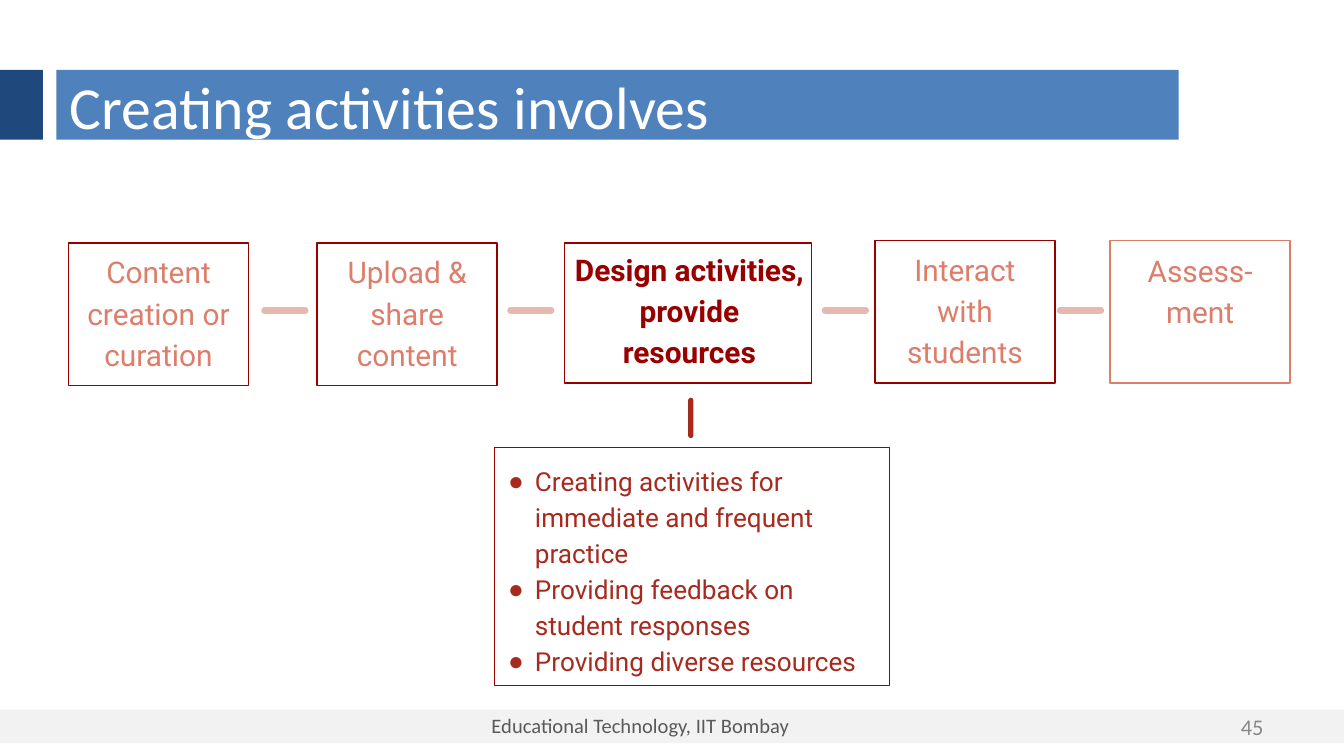
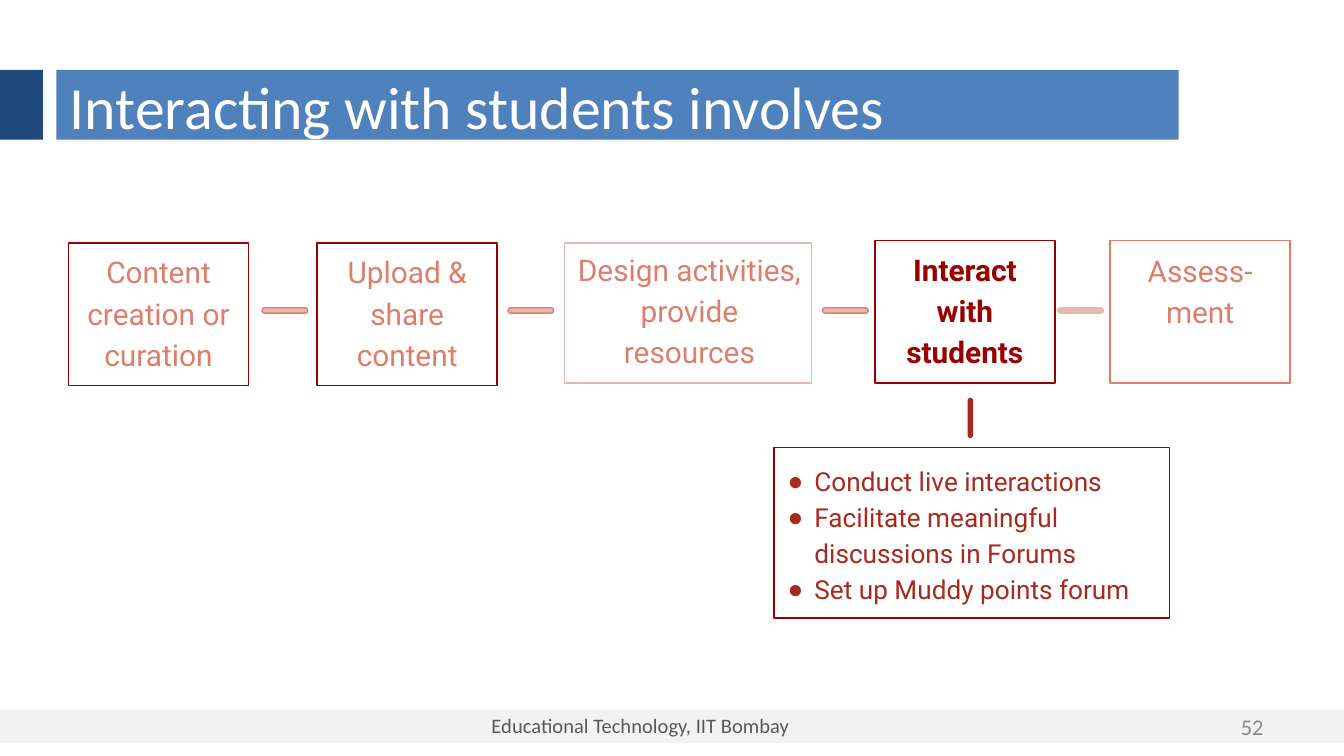
from lxml import etree
from pptx import Presentation
from pptx import util as u
from pptx.dml.color import RGBColor
from pptx.enum import shapes, text
from pptx.oxml import ns

MAROON, BRICK, SALMON, BLUSH = "980000", "A72A1E", "DD7E6B", "E6B8AF"
BLUE, NAVY, PALE, DARK_GREY, GREY, WHITE = (
    "4F81BD", "1F497D", "F2F2F2", "595959", "888888", "FFFFFF")
RECT = shapes.MSO_SHAPE.RECTANGLE
ROUNDED = shapes.MSO_SHAPE.ROUNDED_RECTANGLE
ALIGN, ANCHOR = text.PP_ALIGN, text.MSO_ANCHOR
SMALL_INSETS = (0.1, 0.05, 0.1, 0.05)
STEP_INSETS = (0.1, 0.1, 0.1, 0.1)

# Each step: left, top, width, height, insets, paragraphs
STEPS = [
    (0.51, 1.81, 1.34, 1.06, STEP_INSETS, ["Content creation or curation"]),
    (2.36, 1.81, 1.34, 1.06, STEP_INSETS, ["Upload & share content"]),
    (4.2, 1.81, 1.84, 1.04, (0.04, 0.1, 0.02, 0.1),
     ["Design activities, provide", "resources"]),
    (6.51, 1.79, 1.34, 1.06, STEP_INSETS, ["Interact with students"]),
    (8.26, 1.79, 1.34, 1.06, (0.1, 0.1, 0.1, 0.4), ["Assess- ment"]),
]
LINK_LEFTS = [1.95, 3.78, 6.12, 7.87]


def color(hex_value):
    return RGBColor.from_string(hex_value)


def set_line(shape, line):
    if line:
        shape.line.color.rgb = color(line)
        shape.line.width = u.Pt(0.75)
    else:
        shape.line.fill.background()


def place(shape, left, top, width, height):
    shape.left, shape.top = u.Inches(left), u.Inches(top)
    shape.width, shape.height = u.Inches(width), u.Inches(height)


def add_box(page, kind, left, top, width, height, fill=None, line=None):
    box = page.shapes.add_shape(kind, *map(u.Inches, (left, top, width, height)))
    box.shadow.inherit = False
    if fill:
        box.fill.solid()
        box.fill.fore_color.rgb = color(fill)
    else:
        box.fill.background()
    set_line(box, line)
    return box


def add_bullet(para, hex_value):
    properties = para._p.get_or_add_pPr()
    properties.set("marL", str(u.Inches(0.2)))
    properties.set("indent", str(-u.Inches(0.2)))
    tint = etree.SubElement(properties, ns.qn("a:buClr"))
    etree.SubElement(tint, ns.qn("a:srgbClr")).set("val", hex_value)
    etree.SubElement(properties, ns.qn("a:buChar")).set("char", "●")


def write(shape, paragraphs, *, font, size, ink, bold=False, align=ALIGN.LEFT,
          anchor=ANCHOR.TOP, insets=SMALL_INSETS, spacing=1.0, bullets=False):
    frame = shape.text_frame
    frame.word_wrap = True
    frame.auto_size = text.MSO_AUTO_SIZE.NONE
    frame.vertical_anchor = anchor
    (frame.margin_left, frame.margin_top,
     frame.margin_right, frame.margin_bottom) = map(u.Inches, insets)
    for index, words in enumerate(paragraphs):
        para = frame.add_paragraph() if index else frame.paragraphs[0]
        para.alignment = align
        para.line_spacing = spacing
        para.space_before = u.Pt(0)
        if bullets:
            add_bullet(para, ink)
        span = para.add_run()
        span.text = words
        span.font.name, span.font.size = font, u.Pt(size)
        span.font.bold = bold
        span.font.color.rgb = color(ink)


def add_label(page, words, left, top, width, height, **style):
    label = page.shapes.add_textbox(*map(u.Inches, (left, top, width, height)))
    write(label, [words], font="Calibri", **style)


def add_frame(page, title, number):
    """Draw the footer, the title band and the page number."""
    add_box(page, RECT, 0, 5.28, 10, 0.25, fill=PALE)
    add_label(page, "Educational Technology, IIT Bombay", 2.42, 5.26, 4.69, 0.24,
              size=11, ink=DARK_GREY, align=ALIGN.CENTER)
    add_box(page, RECT, 0.42, 0.52, 8.35, 0.52, fill=BLUE)
    add_box(page, RECT, 0, 0.52, 0.32, 0.52, fill=NAVY)
    add_label(page, str(number), 8.88, 5.26, 0.62, 0.3, size=12, ink=GREY,
              align=ALIGN.RIGHT, anchor=ANCHOR.MIDDLE)
    heading = page.shapes.title
    page.shapes._spTree.append(heading._element)  # in front of the band
    place(heading, 0.42, 0.53, 8.33, 0.51)
    write(heading, [title], font="Calibri", size=32, ink=WHITE,
          anchor=ANCHOR.MIDDLE)


def add_link(page, left, top, width, height, fill, line=None):
    link = add_box(page, ROUNDED, left, top, width, height, fill, line)
    link.adjustments[0] = 0.5


def add_steps(page, active, step_lines, link_lines):
    for index, (left, top, width, height, insets, words) in enumerate(STEPS):
        step = add_box(page, RECT, left, top, width, height,
                       line=step_lines[index])
        current = index == active
        write(step, words, font="Roboto", size=16, bold=current,
              ink=MAROON if current else SALMON, align=ALIGN.CENTER,
              anchor=ANCHOR.BOTTOM, insets=insets, spacing=1.15)
    for left, line in zip(LINK_LEFTS, link_lines):
        add_link(page, left, 2.29, 0.34, 0.04, BLUSH, line)


def add_details(page, left, height, points):
    """Fill the list box below the active step and join it to that step."""
    details = page.placeholders[1]
    place(details, left, 3.33, 2.94, height)
    set_line(details, MAROON)
    write(details, points, font="Roboto", size=14, ink=BRICK,
          insets=STEP_INSETS, spacing=1.15, bullets=True)
    add_link(page, left + 1.44, 2.96, 0.04, 0.3, BRICK)


def add_page(deck, title, number, active, step_lines, link_lines, details):
    page = deck.slides.add_slide(deck.slide_layouts[1])
    add_frame(page, title, number)
    add_steps(page, active, step_lines, link_lines)
    add_details(page, *details)


def main():
    deck = Presentation()
    deck.slide_width = u.Inches(10)
    deck.slide_height = deck.slide_width * 9 // 16
    add_page(deck, "Creating activities involves", 45, active=2,
             step_lines=[MAROON] * 4 + [SALMON], link_lines=[BLUSH] * 4,
             details=(3.68, 1.77, [
                 "Creating activities for immediate and frequent practice",
                 "Providing feedback on student responses",
                 "Providing diverse resources"]))
    add_page(deck, "Interacting with students involves", 52, active=3,
             step_lines=[MAROON, MAROON, BLUSH, MAROON, SALMON],
             link_lines=[SALMON] * 3 + [BLUSH],
             details=(5.76, 1.27, [
                 "Conduct live interactions",
                 "Facilitate meaningful discussions in Forums",
                 "Set up Muddy points forum"]))
    deck.save("out.pptx")


if __name__ == "__main__":
    main()
